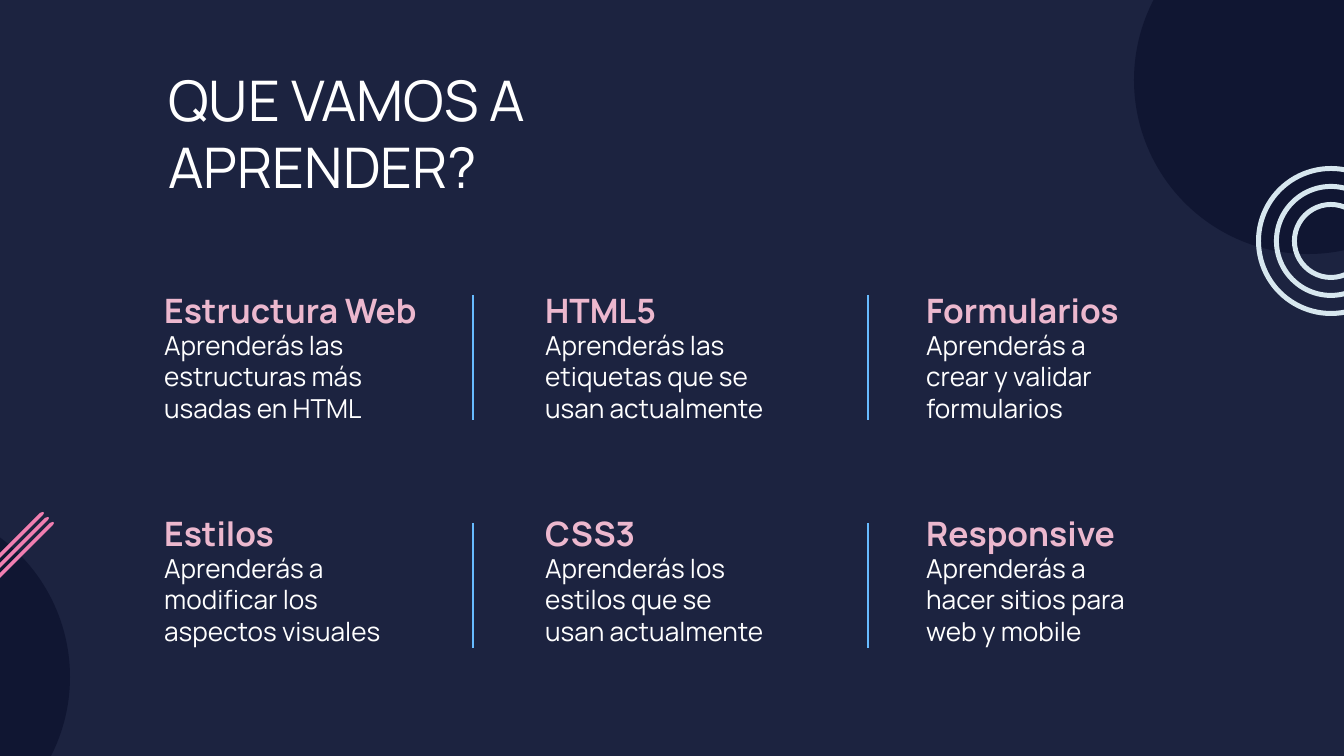
from itertools import product
from pptx import Presentation
from pptx.dml.color import RGBColor
from pptx.enum.shapes import MSO_CONNECTOR, MSO_SHAPE
from pptx.enum.text import MSO_ANCHOR, MSO_AUTO_SIZE, PP_ALIGN
from pptx.oxml.ns import qn
from pptx.util import Pt
from lxml.etree import SubElement

PX = 914400 / 134.4


class Theme:
    font = "Manrope"
    background = RGBColor.from_string("1C2340")
    disc = RGBColor.from_string("101632")
    divider = RGBColor.from_string("67BBFF")
    stripe = RGBColor.from_string("F17EB0")
    ring = RGBColor.from_string("D7E7EF")
    title = {"size": Pt(30), "color": RGBColor.from_string("FFFFFF"), "bold": False}
    heading = {"size": Pt(18), "color": RGBColor.from_string("ECB8CE"), "bold": True}
    body = {"size": Pt(14), "color": RGBColor.from_string("FFFFFF"), "bold": False}


def px(*lengths):
    return [round(length * PX) for length in lengths]


def write(box, text, style, anchor=MSO_ANCHOR.TOP):
    frame = box.text_frame
    margins = dict.fromkeys(
        ["margin_left", "margin_top", "margin_right", "margin_bottom"], Pt(7.2))
    settings = {"word_wrap": True, "auto_size": MSO_AUTO_SIZE.NONE,
                "vertical_anchor": anchor, **margins}
    for name, value in settings.items():
        setattr(frame, name, value)
    para = frame.paragraphs[0]
    para.alignment = PP_ALIGN.LEFT
    span = para.add_run()
    span.text = text
    span.font.name = Theme.font
    span.font.size = style["size"]
    span.font.bold = style["bold"]
    span.font.color.rgb = style["color"]


deck = Presentation()
deck.slide_width, deck.slide_height = px(1344, 756)
page = deck.slides.add_slide(deck.slide_layouts[5])
page.background.fill.solid()
page.background.fill.fore_color.rgb = Theme.background

# Title
title = page.shapes.title
title.left, title.top, title.width, title.height = px(155, 52, 653, 116)
write(title, "QUE VAMOS A APRENDER?", Theme.title)

# Topics, three to a row
topics = [
    ("Estructura Web", "Aprenderás las estructuras más usadas en HTML"),
    ("HTML5", "Aprenderás las etiquetas que se usan actualmente"),
    ("Formularios", "Aprenderás a crear y validar formularios"),
    ("Estilos", "Aprenderás a modificar los aspectos visuales"),
    ("CSS3", "Aprenderás los estilos que se usan actualmente"),
    ("Responsive", "Aprenderás a hacer sitios para web y mobile"),
]
for index, (heading, description) in enumerate(topics):
    row, column = divmod(index, 3)
    left, top = 151 + 381 * column, 259 + 223 * row
    box = page.shapes.add_textbox(*px(left, top + 57, 249, 124))
    write(box, description, Theme.body)
    box = page.shapes.add_textbox(*px(left, top, 280, 85))
    write(box, heading, Theme.heading, MSO_ANCHOR.BOTTOM)

# Dividers between the columns
for top, left in product((295, 523), (473, 868)):
    divider = page.shapes.add_connector(
        MSO_CONNECTOR.STRAIGHT, *px(left, top, left, top + 125))
    divider.line.color.rgb = Theme.divider
    divider.line.width = Pt(1.5)
    SubElement(divider.element.spPr, qn("a:effectLst"))

# Dark corner discs
decorations = []
for left, top in ((1134, -94), (-278, 503)):
    disc = page.shapes.add_shape(MSO_SHAPE.OVAL, *px(left, top, 348, 348))
    decorations.append((disc, Theme.disc))

# Diagonal stripes
outline = [(98, 1), (1, 98), (0, 102), (3, 101), (101, 3), (102, 1)]
for step in range(3):
    builder = page.shapes.build_freeform(101, 0, scale=PX)
    builder.add_line_segments(outline, close=True)
    stripe = builder.convert_to_shape(*px(-58 + 5 * step, 512 + 5 * step))
    decorations.append((stripe, Theme.stripe))

# Concentric rings
rings = page.shapes.add_group_shape()
for radius in (75, 57, 39):
    ring = rings.shapes.add_shape(
        MSO_SHAPE.DONUT, *px(1331 - radius, 241 - radius, 2 * radius, 2 * radius))
    ring.adjustments[0] = 5 / (2 * radius)
    decorations.append((ring, Theme.ring))

for shape, color in decorations:
    shape.shadow.inherit = False
    shape.fill.solid()
    shape.fill.fore_color.rgb = color
    shape.line.fill.background()

deck.save("out.pptx")
